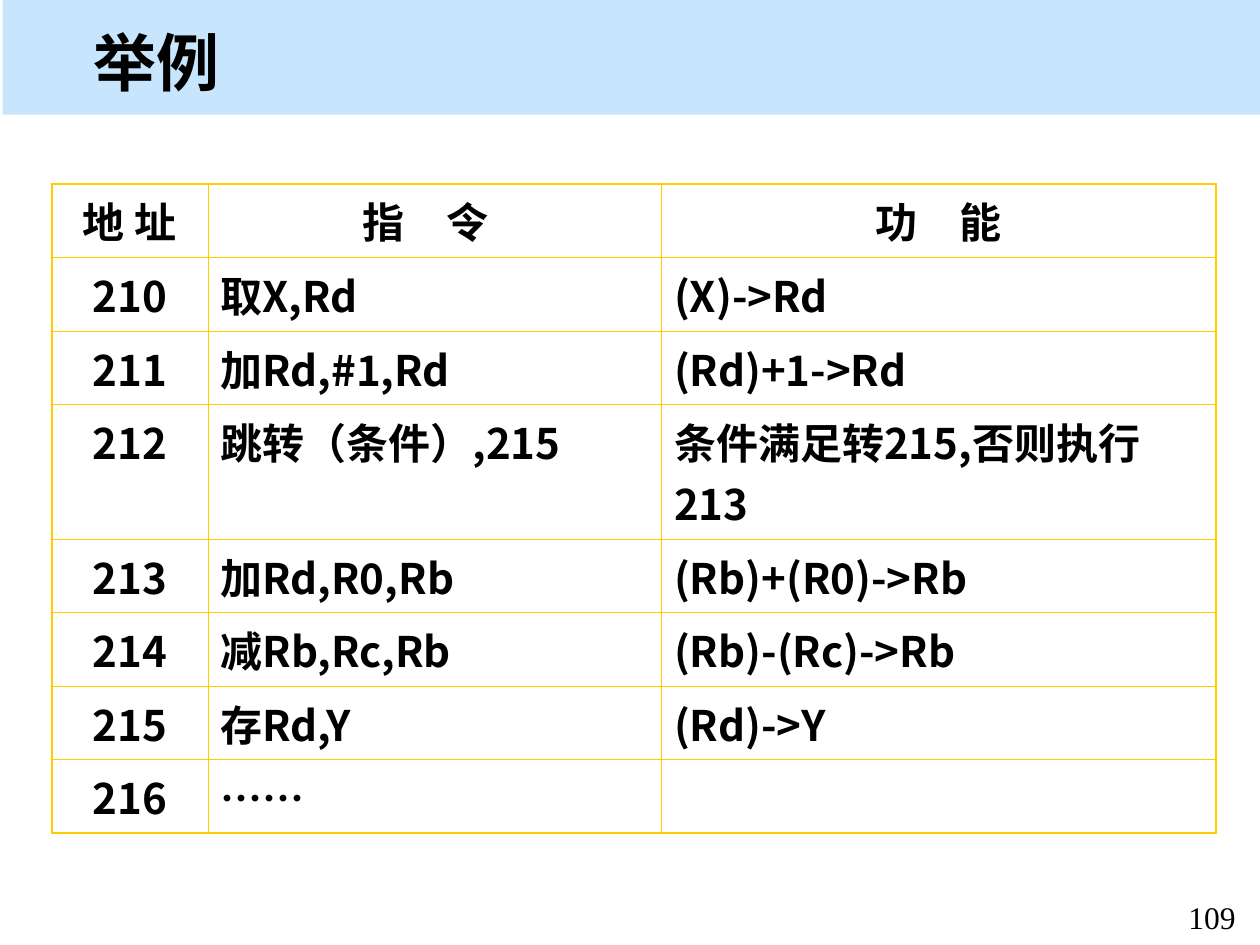
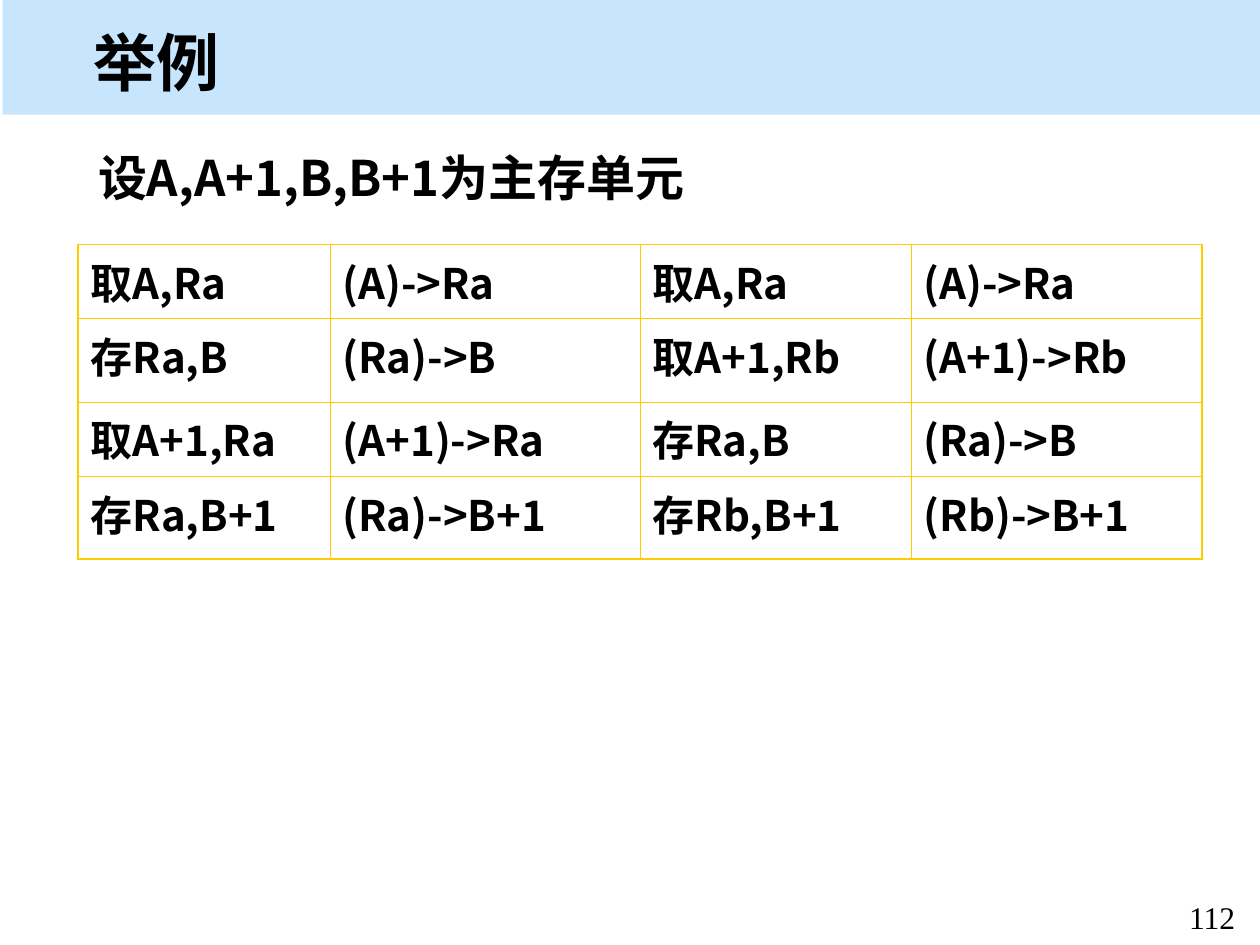
from dataclasses import dataclass
from typing import NamedTuple

from lxml import etree
from pptx import Presentation
from pptx import util as u
from pptx.dml.color import RGBColor
from pptx.enum import shapes, text
from pptx.oxml import ns


@dataclass(frozen=True)
class Theme:
    band: str = "C7E6FD"
    ink: str = "000000"
    border: str = "FFCC00"
    outer_line: float = 1.2
    inner_line: float = 0.45
    heading_font: str = "Noto Sans CJK SC"
    number_font: str = "Times New Roman"
    title_size: int = 36
    lead_size: int = 28
    cell_size: int = 24
    number_size: int = 18


THEME = Theme()


class Box(NamedTuple):
    left: float
    top: float
    width: float
    height: float

    def lengths(self) -> tuple:
        return tuple(u.Inches(side) for side in self)


class Style(NamedTuple):
    size: int
    font: str = THEME.heading_font
    bold: bool = True


@dataclass(frozen=True)
class Grid:
    box: Box
    columns: tuple[float, ...]
    row_heights: tuple[float, ...]
    rows: tuple[tuple[str, ...], ...]
    has_header: bool = False
    centred_columns: tuple[int, ...] = ()
    thin_top_columns: tuple[int, ...] = ()


BAND = Box(0.02, 0, 9.98, 0.91)
TITLE = Box(0.64, 0.15, 9.16, 0.67)
PAGE_NUMBER = Box(9.27, 7.08, 0.7, 0.33)
LEAD = Box(0.68, 1.12, 8.5, 0.67)

PROGRAM = Grid(
    box=Box(0.41, 1.46, 9.24, 5.15),
    columns=(1.24, 3.6, 4.4),
    row_heights=(0.58, 0.59, 0.58, 1.07, 0.58, 0.59, 0.58, 0.58),
    rows=(
        ("地 址", "指　令", "功　能"),
        ("210", "取X,Rd", "(X)->Rd"),
        ("211", "加Rd,#1,Rd", "(Rd)+1->Rd"),
        ("212", "跳转（条件）,215", "条件满足转215,否则执行213"),
        ("213", "加Rd,R0,Rb", "(Rb)+(R0)->Rb"),
        ("214", "减Rb,Rc,Rb", "(Rb)-(Rc)->Rb"),
        ("215", "存Rd,Y", "(Rd)->Y"),
        ("216", "……", ""),
    ),
    has_header=True,
    centred_columns=(0,),
)

MEMORY_COPY = Grid(
    box=Box(0.62, 1.94, 8.92, 2.5),
    columns=(2, 2.46, 2.15, 2.31),
    row_heights=(0.59, 0.66) * 2,
    rows=(
        ("取A,Ra", "(A)->Ra", "取A,Ra", "(A)->Ra"),
        ("存Ra,B", "(Ra)->B", "取A+1,Rb", "(A+1)->Rb"),
        ("取A+1,Ra", "(A+1)->Ra", "存Ra,B", "(Ra)->B"),
        ("存Ra,B+1", "(Ra)->B+1", "存Rb,B+1", "(Rb)->B+1"),
    ),
    thin_top_columns=(1,),
)


def write(frame, words: str, style: Style, centred: bool = False) -> None:
    paragraph = frame.paragraphs[0]
    paragraph.alignment = text.PP_ALIGN.CENTER if centred else text.PP_ALIGN.LEFT
    run = paragraph.add_run()
    run.text = words
    run.font.size = u.Pt(style.size)
    run.font.bold = style.bold
    run.font.color.rgb = RGBColor.from_string(THEME.ink)
    run.font.name = style.font
    east_asian = etree.SubElement(run.font._element, ns.qn("a:ea"))
    east_asian.set("typeface", style.font)


def add_label(slide, box: Box, words: str, style: Style,
              centred: bool = False, middle: bool = False) -> None:
    frame = slide.shapes.add_textbox(*box.lengths()).text_frame
    frame.word_wrap = True
    if middle:
        frame.vertical_anchor = text.MSO_ANCHOR.MIDDLE
    write(frame, words, style, centred)


def add_border(cell, side: str, outer: bool) -> None:
    width = THEME.outer_line if outer else THEME.inner_line
    line = etree.SubElement(cell._tc.get_or_add_tcPr(), ns.qn(f"a:ln{side}"))
    line.set("w", str(int(u.Pt(width))))
    fill = etree.SubElement(line, ns.qn("a:solidFill"))
    etree.SubElement(fill, ns.qn("a:srgbClr")).set("val", THEME.border)


def add_grid(slide, grid: Grid):
    last_row, last_column = len(grid.rows) - 1, len(grid.columns) - 1
    table = slide.shapes.add_table(
        last_row + 1, last_column + 1, *grid.box.lengths()).table
    table.first_row = table.horz_banding = False
    for column, width in zip(table.columns, grid.columns):
        column.width = u.Inches(width)
    for row, height in zip(table.rows, grid.row_heights):
        row.height = u.Inches(height)
    for r, row_words in enumerate(grid.rows):
        for c, words in enumerate(row_words):
            cell = table.cell(r, c)
            add_border(cell, "L", c == 0)
            add_border(cell, "R", c == last_column)
            add_border(cell, "T", r == 0 and c not in grid.thin_top_columns)
            add_border(cell, "B", r == last_row)
            cell.fill.background()
            if words:
                centred = c in grid.centred_columns or (grid.has_header and r == 0)
                write(cell.text_frame, words, Style(THEME.cell_size), centred)
    return table


def add_example_slide(deck, number: int):
    """Add a slide with the title band, the title and the page number."""
    slide = deck.slides.add_slide(deck.slide_layouts[6])
    band = slide.shapes.add_shape(shapes.MSO_SHAPE.RECTANGLE, *BAND.lengths())
    band.shadow.inherit = False
    band.fill.solid()
    band.fill.fore_color.rgb = RGBColor.from_string(THEME.band)
    band.line.fill.background()
    add_label(slide, PAGE_NUMBER, str(number),
              Style(THEME.number_size, THEME.number_font, bold=False), centred=True)
    add_label(slide, TITLE, "举例", Style(THEME.title_size), middle=True)
    return slide


def main() -> None:
    deck = Presentation()
    deck.slide_width, deck.slide_height = u.Inches(10), u.Inches(7.5)

    program_table = add_grid(add_example_slide(deck, 109), PROGRAM)
    program_table.cell(0, 1).margin_right = u.Inches(0.25)

    copy_slide = add_example_slide(deck, 112)
    add_label(copy_slide, LEAD, "设A,A+1,B,B+1为主存单元", Style(THEME.lead_size))
    add_grid(copy_slide, MEMORY_COPY)

    deck.save("out.pptx")


if __name__ == "__main__":
    main()
